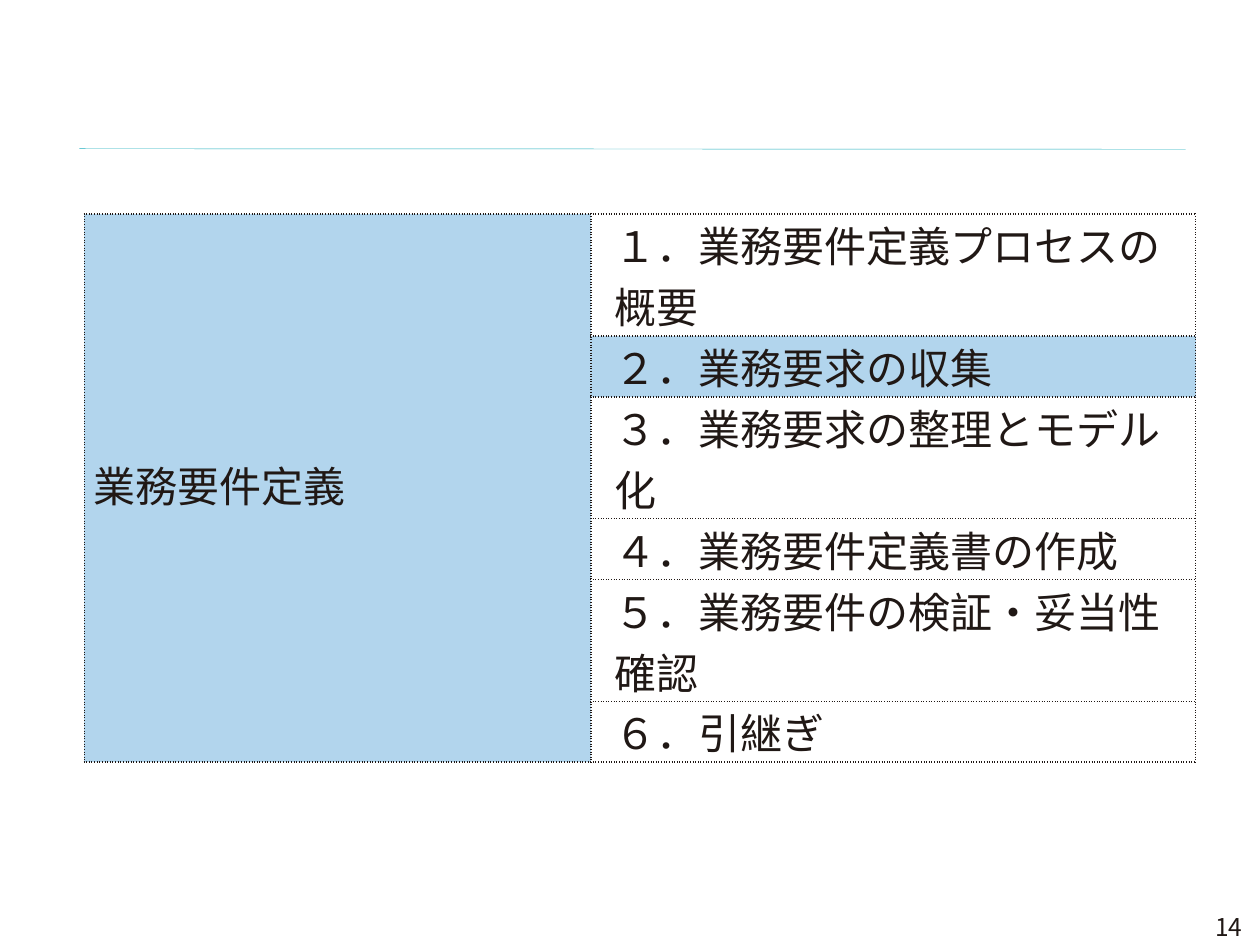
from dataclasses import dataclass

from pptx import Presentation
from pptx.dml.color import RGBColor
from pptx.enum.text import MSO_ANCHOR, PP_ALIGN
from pptx.oxml.ns import qn
from pptx.util import Pt
from lxml.etree import SubElement


@dataclass(frozen=True)
class Theme:
    font: str = "Noto Sans CJK JP"
    ink: str = "201815"
    rule: str = "1BADBD"
    mark: str = "B2D5ED"
    white: str = "FFFFFF"
    body: int = 24
    small: int = 14


THEME = Theme()
LINE = 34.8  # height of one line of body text
TOPIC = "業務要件定義"
# Step text, number of lines, and cell fill (None leaves the cell clear)
STEPS = [
    ("１．業務要件定義プロセスの概要", 2, None),
    ("２．業務要求の収集", 1, THEME.mark),
    ("３．業務要求の整理とモデル化", 2, THEME.white),
    ("４．業務要件定義書の作成", 1, THEME.white),
    ("５．業務要件の検証・妥当性確認", 2, THEME.white),
    ("６．引継ぎ", 1, THEME.white),
]


def add_run(para, text, size):
    run = para.add_run()
    run.text = text
    font = run.font
    font.size = Pt(size)
    font.name = THEME.font
    font.color.rgb = RGBColor.from_string(THEME.ink)
    SubElement(run._r.get_or_add_rPr(), qn("a:ea"), typeface=THEME.font)


def add_rule(slide, left, right, top, drop):
    line = slide.shapes.add_connector(
        1, Pt(left), Pt(top), Pt(right), Pt(top + drop))
    line.line.color.rgb = RGBColor.from_string(THEME.rule)
    line.line.width = Pt(0.25)
    SubElement(line._element.spPr, qn("a:effectLst"))


def add_number(slide, text):
    box = slide.shapes.add_textbox(Pt(617), Pt(518.4), Pt(100), Pt(22.3))
    frame = box.text_frame
    frame.word_wrap = True
    frame.vertical_anchor = MSO_ANCHOR.MIDDLE
    para = frame.paragraphs[0]
    para.alignment = PP_ALIGN.RIGHT
    add_run(para, text, THEME.small)


def set_border(cell):
    props = cell._tc.get_or_add_tcPr()
    for side in ("lnL", "lnR", "lnT", "lnB"):
        line = SubElement(props, qn(f"a:{side}"), w=str(Pt(1)))
        fill = SubElement(line, qn("a:solidFill"))
        SubElement(fill, qn("a:srgbClr"), val=THEME.ink)
        SubElement(line, qn("a:prstDash"), val="sysDot")


def style_cell(cell, color):
    set_border(cell)
    if color:
        cell.fill.solid()
        cell.fill.fore_color.rgb = RGBColor.from_string(color)
    else:
        cell.fill.background()
    cell.margin_left = cell.margin_right = 0
    cell.margin_top = cell.margin_bottom = 0
    cell.vertical_anchor = MSO_ANCHOR.MIDDLE


def fill_cell(cell, text, indent):
    para = cell.text_frame.paragraphs[0]
    props = para._p.get_or_add_pPr()
    props.set("marL", str(Pt(indent)))
    props.set("indent", "0")
    add_run(para, text, THEME.body)
    return para


def add_agenda(slide):
    widths = (289.4, 345.6)
    height = LINE * sum(lines for _, lines, _ in STEPS)
    frame = slide.shapes.add_table(
        len(STEPS), 2, Pt(48.2), Pt(122.4), Pt(sum(widths)), Pt(height))
    table = frame.table
    table.first_row = table.horz_banding = False
    for col, width in zip(table.columns, widths):
        col.width = Pt(width)

    # Steps on the right
    for row, (text, lines, color) in enumerate(STEPS):
        table.rows[row].height = Pt(LINE * lines)
        style_cell(table.cell(row, 0), THEME.mark)
        step = table.cell(row, 1)
        style_cell(step, color)
        fill_cell(step, text, 13.7)

    # Topic on the left, across all rows
    topic = table.cell(0, 0)
    topic.merge(table.cell(len(STEPS) - 1, 0))
    fill_cell(topic, TOPIC, 5.4).line_spacing = 0.8


def main():
    deck = Presentation()
    deck.slide_width, deck.slide_height = Pt(720), Pt(540)
    slide = deck.slides.add_slide(deck.slide_layouts[6])
    add_rule(slide, 45.4, 677.5, 85, 0.3)
    add_number(slide, "14")
    add_agenda(slide)
    deck.save("out.pptx")


if __name__ == "__main__":
    main()
